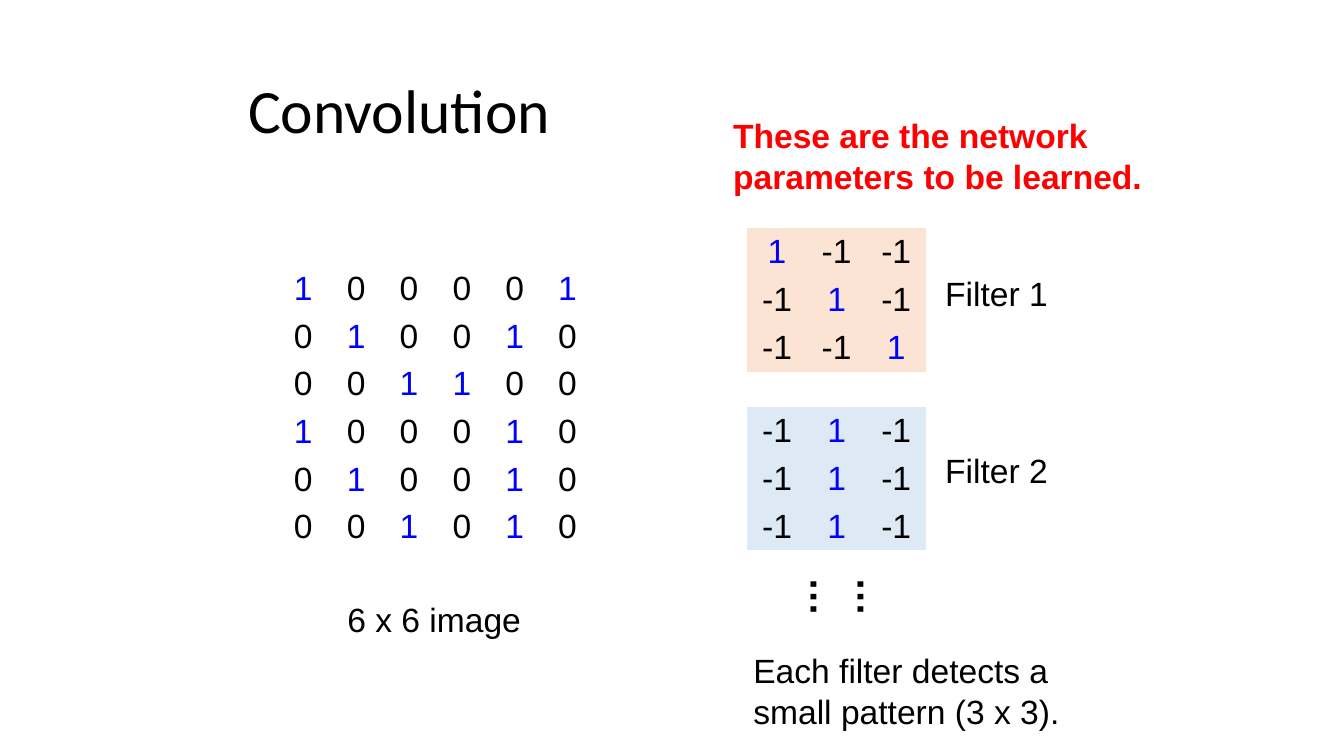
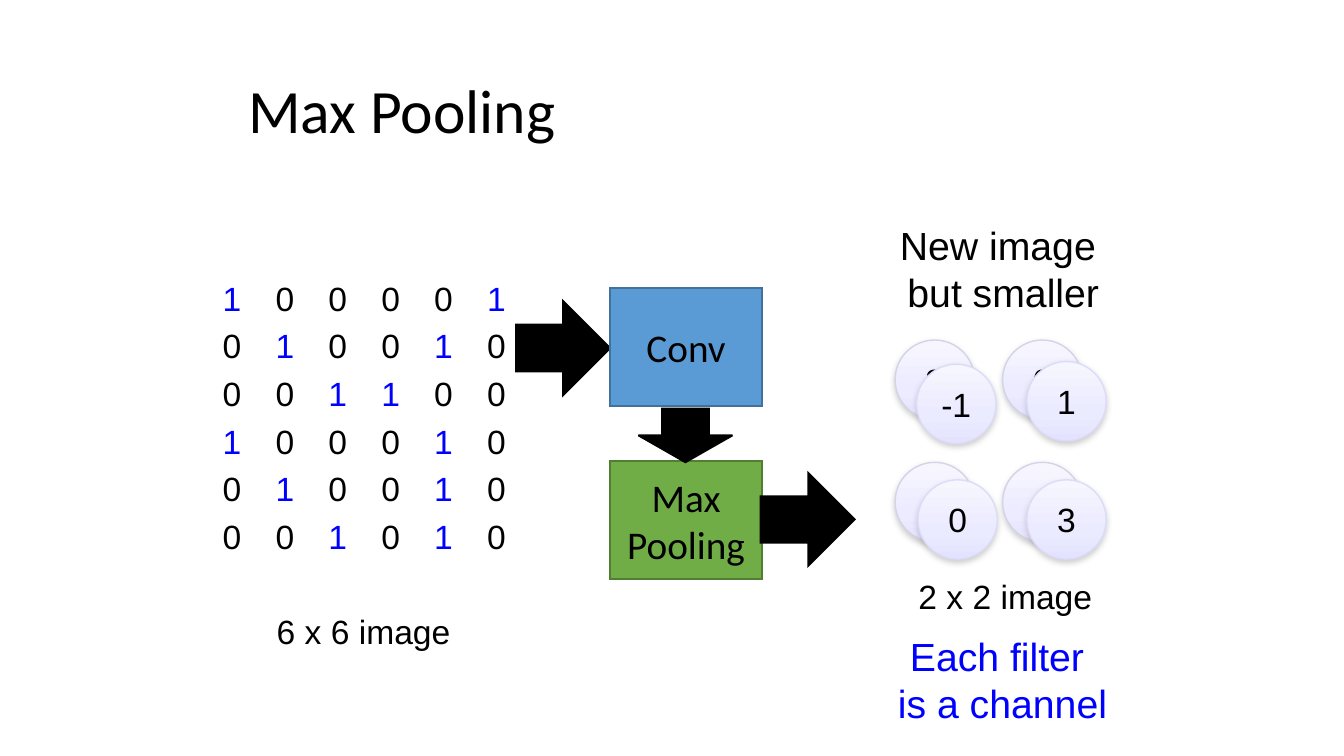
import pptx
import pptx.util
import pptx.oxml
import pptx.oxml.ns
import pptx.dml.color
import pptx.enum.shapes
import pptx.enum.text

Inches = pptx.util.Inches
Pt = pptx.util.Pt
Kind = pptx.enum.shapes.MSO_SHAPE
Align = pptx.enum.text.PP_ALIGN
Anchor = pptx.enum.text.MSO_ANCHOR
LEFT, MID = Align.LEFT, Align.CENTER

# Shared look
WIDE = 10
HIGH = WIDE * 9 / 16
HUES = {
    "ink": "000000", "blue": "0000FF", "red": "FF0000",
    "peach": "FBE4D4", "sky": "DDEAF6",
    "conv": "5B9BD5", "convline": "42719B",
    "pool": "70AD47", "poolline": "517E33",
    "shade": "808080",
}
BODY = {"name": "Arial", "size": Pt(18), "bold": False}
BOLD = {**BODY, "bold": True}
BIG = {**BODY, "size": Pt(21)}
DOTS = {**BIG, "bold": True}
BOX = {**BIG, "name": "Calibri"}
TITLE = {**BOX, "size": Pt(33)}
INSETS = {"margin_left": Pt(5.4), "margin_top": Pt(2.7),
          "margin_right": Pt(5.4), "margin_bottom": Pt(2.7)}
PLAIN = "{2D5ABB26-0587-4C30-8999-92F81FD0307C}"
FRAME = 3.28

# Matrices
IMAGE = ["1 0 0 0 0 1", "0 1 0 0 1 0", "0 0 1 1 0 0",
         "1 0 0 0 1 0", "0 1 0 0 1 0", "0 0 1 0 1 0"]
FILTERS = [
    ("Filter 1", 1.7, 1.99, "peach", ["1 -1 -1", "-1 1 -1", "-1 -1 1"]),
    ("Filter 2", 3.03, 3.31, "sky", ["-1 1 -1", "-1 1 -1", "-1 1 -1"]),
]

# Labels: text lines, place, font, colour, alignment, turn
CONV_NOTES = [
    (["6 x 6 image"], (2.27, 4.42, 1.92, 0.38), BODY, "ink", MID, 0),
    (["……"], (6.03, 4.12, 0.58, 0.78), DOTS, "ink", LEFT, 90),
    (["These are the network parameters to be learned."],
     (5.38, 0.82, 3.25, 0.68), BOLD, "red", LEFT, 0),
    (["Each filter detects a small pattern (3 x 3)."],
     (5.53, 4.8, 2.92, 0.68), BODY, "ink", LEFT, 0),
]
POOL_NOTES = [
    (["6 x 6 image"], (1.74, 4.51, 1.93, 0.38), BODY, "ink", MID, 0),
    (["2 x 2 image"], (6.52, 4.25, 1.92, 0.38), BODY, "ink", MID, 0),
    (["Each filter ", "is a channel"],
     (6.53, 4.67, 1.86, 0.78), BIG, "blue", MID, 0),
    (["New image ", "but smaller"],
     (6.53, 1.61, 1.87, 0.78), BIG, "ink", MID, 0),
]

# Circles: back and front channel, each with stops, line and spots
CHANNELS = [
    (("F7F6FF", "ECEBFF", "E5E3FF"), "D4D3E7",
     [("3", 6.66, 2.53), ("0", 7.46, 2.53), ("", 7.46, 3.44), ("", 6.66, 3.44)]),
    (("F6F6FF", "EBEBFF", "E3E3FF"), "DCDCFA",
     [("-1", 6.82, 2.71), ("1", 7.64, 2.69), ("3", 7.64, 3.57), ("0", 6.83, 3.57)]),
]
DISC = 0.59

# Flow parts: kind, place, fill, line, text lines, turn
FLOW = [
    (Kind.RIGHT_ARROW, (3.84, 2.24, 0.7, 0.7), "ink", "ink", [], 0),
    (Kind.RECTANGLE, (4.54, 2.14, 1.13, 0.88), "conv", "convline", ["Conv"], 0),
    (Kind.RECTANGLE, (4.54, 3.43, 1.13, 0.88), "pool", "poolline",
     ["Max", "Pooling"], 0),
    (Kind.RIGHT_ARROW, (5.66, 3.52, 0.7, 0.69), "ink", "ink", [], 0),
    (Kind.RIGHT_ARROW, (4.9, 2.89, 0.4, 0.7), "ink", "ink", [], 90),
]


def rgb(hue):
    return pptx.dml.color.RGBColor.from_string(HUES.get(hue, hue))


def inch(place):
    return [Inches(n) for n in place]


def xml(tag, attrs="", inner=""):
    space = pptx.oxml.ns.nsdecls("a")
    return pptx.oxml.parse_xml(f"<a:{tag} {space} {attrs}>{inner}</a:{tag}>")


def put(item, values):
    for name, value in values.items():
        setattr(item, name, value)


def ink(par, text, font, hue, align):
    par.alignment = align
    run = par.add_run()
    run.text = text
    put(run.font, font)
    run.font.color.rgb = rgb(hue)


def write(frame, lines, font, hue, align, anchor=Anchor.TOP):
    put(frame, INSETS)
    frame.word_wrap = True
    frame.auto_size = pptx.enum.text.MSO_AUTO_SIZE.NONE
    frame.vertical_anchor = anchor
    for i, line in enumerate(lines):
        par = frame.add_paragraph() if i else frame.paragraphs[0]
        ink(par, line, font, hue, align)


def start(deck, text):
    slide = deck.slides.add_slide(deck.slide_layouts[5])
    title = slide.shapes.title
    title.left, title.top, title.width, title.height = inch((1.77, 0.3, 6.47, 1.09))
    write(title.text_frame, [text], TITLE, "ink", LEFT, Anchor.MIDDLE)
    title.text_frame.paragraphs[0].line_spacing = 0.9
    return slide


def label(slide, lines, place, font, hue, align, turn):
    box = slide.shapes.add_textbox(*inch(place))
    box.rotation = turn
    write(box.text_frame, lines, font, hue, align)


def matrix(slide, rows, left, top, wide, fill=None):
    data = [row.split() for row in rows]
    high, cols = len(data), len(data[0])
    frame = slide.shapes.add_table(
        high, cols, *inch((left, top, wide, 0.3 * high)))
    frame.width = frame.height = Inches(FRAME)
    table = frame.table
    table.first_row = table.horz_banding = False
    table._tbl.tblPr.find(pptx.oxml.ns.qn("a:tableStyleId")).text = PLAIN
    for r, row in enumerate(data):
        for c, value in enumerate(row):
            cell = table.cell(r, c)
            put(cell, INSETS)
            hue = "blue" if value == "1" else "ink"
            ink(cell.text_frame.paragraphs[0], value, BODY, hue, MID)
            if fill:
                cell.fill.solid()
                cell.fill.fore_color.rgb = rgb(fill)
            else:
                cell.fill.background()


def shape(slide, kind, place, line, width, lines, font):
    item = slide.shapes.add_shape(kind, *inch(place))
    item.shadow.inherit = False
    item.line.color.rgb = rgb(line)
    item.line.width = Pt(width)
    write(item.text_frame, lines, font, "ink", MID, Anchor.MIDDLE)
    return item


def disc(slide, text, left, top, stops, line):
    item = shape(slide, Kind.OVAL, (left, top, DISC, DISC), line, 0.75,
                 [text] if text else [], BODY)
    # Three-stop gradient and soft shadow
    marks = "".join(
        f'<a:gs pos="{at}"><a:srgbClr val="{hue}"/></a:gs>'
        for at, hue in zip((0, 65000, 100000), stops))
    props = item._element.spPr
    props.insert(2, xml("gradFill", "", f"<a:gsLst>{marks}</a:gsLst>"
                        '<a:lin ang="5400000" scaled="0"/>'))
    props.find(pptx.oxml.ns.qn("a:effectLst")).append(xml(
        "outerShdw", f'blurRad="{Pt(3.1)}" dist="{Pt(1.6)}" dir="5400000" '
        'rotWithShape="0"', f'<a:srgbClr val="{HUES["shade"]}">'
        '<a:alpha val="36000"/></a:srgbClr>'))


def convolve(deck):
    slide = start(deck, "Convolution")
    matrix(slide, IMAGE, 2.06, 1.97, 2.36)
    for name, top, mid, fill, rows in FILTERS:
        matrix(slide, rows, 5.56, top, 1.33, fill)
        label(slide, [name], (6.82, mid, 1.19, 0.38), BODY, "ink", MID, 0)
    for note in CONV_NOTES:
        label(slide, *note)


def pool(deck):
    slide = start(deck, "Max Pooling")
    matrix(slide, IMAGE, 1.53, 2.05, 2.36)
    for stops, line, spots in CHANNELS:
        for text, left, top in spots:
            disc(slide, text, left, top, stops, line)
    for note in POOL_NOTES:
        label(slide, *note)
    for kind, place, fill, line, lines, turn in FLOW:
        item = shape(slide, kind, place, line, 1, lines, BOX)
        item.fill.solid()
        item.fill.fore_color.rgb = rgb(fill)
        item.rotation = turn
        # Sharp corners
        item.line._ln.append(xml("miter", 'lim="800000"'))


def main():
    deck = pptx.Presentation()
    deck.slide_width, deck.slide_height = Inches(WIDE), Inches(HIGH)
    convolve(deck)
    pool(deck)
    deck.save("out.pptx")


if __name__ == "__main__":
    main()
